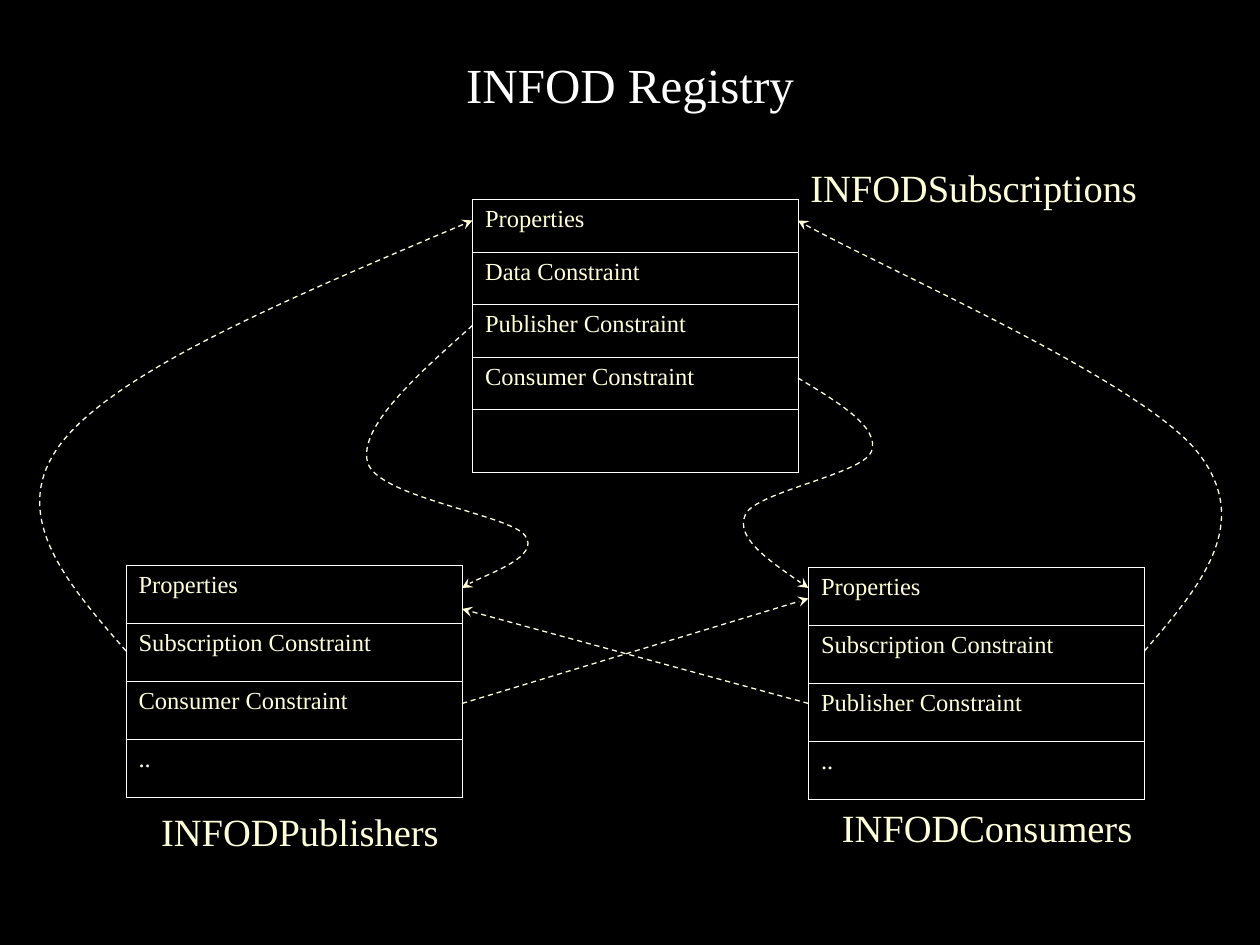
"""Build the registry slide with its three linked tables."""
from dataclasses import dataclass

from lxml import etree
from pptx import Presentation
from pptx import util as u
from pptx.dml.color import RGBColor
from pptx.enum import dml, shapes, text
from pptx.oxml import ns

INK = {"back": "000000", "title": "FFFFFF", "rule": "FFFFFF", "text": "FFFFD9"}
FACE = "Times New Roman"
Point = tuple[float, float]


@dataclass
class Grid:
    left: float
    top: float
    width: float
    heights: list[float]
    words: list[str]


@dataclass
class Label:
    left: float
    top: float
    width: float
    words: str


GRIDS = [
    Grid(72, 323, 192, [33.15] * 4,
         ["Properties", "Subscription Constraint", "Consumer Constraint", ".."]),
    Grid(462, 324, 192, [33.15] * 4,
         ["Properties", "Subscription Constraint", "Publisher Constraint", ".."]),
    Grid(270, 114, 186, [30] * 4 + [36],
         ["Properties", "Data Constraint", "Publisher Constraint",
          "Consumer Constraint", ""]),
]
LABELS = [
    Label(456, 90, 202, "INFODSubscriptions"),
    Label(474, 456, 182, "INFODConsumers"),
    Label(85, 458, 173, "INFODPublishers"),
]
CURVES: list[list[Point]] = [
    [(456, 216), (479.5, 230), (503, 244.5), (498, 258),
     (493, 271), (432, 281), (426, 294), (420, 307), (441, 321.5), (462, 336)],
    [(72, 372), (37.5, 332.5), (3, 293), (36, 252),
     (69, 211), (169.5, 168.5), (270, 126)],
    [(654, 372), (685.5, 335.5), (717, 299), (684, 258),
     (651, 217), (494, 148.5), (456, 126)],
    [(270, 186), (237.5, 215), (205, 244), (210, 264),
     (215, 284), (291, 294), (300, 306), (309, 318), (270, 331), (264, 336)],
]
LINES: list[tuple[Point, Point]] = [
    ((462, 402), (264, 348)),
    ((264, 402), (462, 342)),
]


def tint(name: str) -> RGBColor:
    """Look up a colour."""
    return RGBColor.from_string(INK[name])


def style(para, size: float, name: str) -> None:
    """Set the font of a paragraph."""
    para.font.name = FACE
    para.font.size = u.Pt(size)
    para.font.color.rgb = tint(name)


def frame(cell) -> None:
    """Rule all four sides of a cell."""
    props = cell._tc.get_or_add_tcPr()
    for spot, side in enumerate("LRTB"):
        edge = etree.Element(ns.qn(f"a:ln{side}"), w=str(u.Pt(0.45)))
        fill = etree.SubElement(edge, ns.qn("a:solidFill"))
        etree.SubElement(fill, ns.qn("a:srgbClr"), val=INK["rule"])
        props.insert(spot, edge)


def add_grid(slide, grid: Grid) -> None:
    """Draw a table of one column."""
    table = slide.shapes.add_table(
        len(grid.words), 1, u.Pt(grid.left), u.Pt(grid.top),
        u.Pt(grid.width), u.Pt(sum(grid.heights))).table
    table.first_row = table.horz_banding = False
    for row, height, words in zip(table.rows, grid.heights, grid.words):
        row.height = u.Pt(height)
        cell = row.cells[0]
        cell.fill.background()
        frame(cell)
        if words:
            cell.text = words
        style(cell.text_frame.paragraphs[0], 14, "text")


def add_label(slide, label: Label) -> None:
    """Draw the name of a table."""
    box = slide.shapes.add_textbox(
        u.Pt(label.left), u.Pt(label.top), u.Pt(label.width), u.Pt(34)).text_frame
    box.word_wrap = False
    box.auto_size = text.MSO_AUTO_SIZE.SHAPE_TO_FIT_TEXT
    box.text = label.words
    style(box.paragraphs[0], 22, "text")


def dash(shape) -> None:
    """Give a line its dashes and arrowhead."""
    shape.line.color.rgb = tint("text")
    shape.line.width = u.Pt(0.75)
    shape.line.dash_style = dml.MSO_LINE.DASH
    edge = shape.element.spPr.find(ns.qn("a:ln"))
    etree.SubElement(edge, ns.qn("a:tailEnd"), type="stealth")


def add_curve(slide, points: list[Point]) -> None:
    """Draw a chain of cubic curves from a start and triples of points."""
    start, *rest = [(u.Pt(x), u.Pt(y)) for x, y in points]
    form = slide.shapes.build_freeform(*start)
    form.add_line_segments(rest, close=False)
    shape = form.convert_to_shape()
    shape.shadow.inherit = False
    shape.fill.background()
    steps = list(shape.element.iter(ns.qn("a:lnTo")))
    for first in range(0, len(steps), 3):
        bend = etree.Element(ns.qn("a:cubicBezTo"))
        steps[first].addprevious(bend)
        for step in steps[first:first + 3]:
            bend.append(step[0])
            step.getparent().remove(step)
    dash(shape)


def add_line(slide, start: Point, end: Point) -> None:
    """Draw a straight arrow."""
    ends = [u.Pt(n) for n in (*start, *end)]
    link = slide.shapes.add_connector(shapes.MSO_CONNECTOR.STRAIGHT, *ends)
    dash(link)
    etree.SubElement(link.element.spPr, ns.qn("a:effectLst"))


def main() -> None:
    """Build and save the deck."""
    deck = Presentation()
    deck.slide_width, deck.slide_height = u.Pt(720), u.Pt(540)
    slide = deck.slides.add_slide(deck.slide_layouts[5])
    slide.background.fill.solid()
    slide.background.fill.fore_color.rgb = tint("back")
    title = slide.shapes.title
    title.left, title.top = u.Pt(54), u.Pt(18)
    title.width, title.height = u.Pt(612), u.Pt(60)
    title.text = "INFOD Registry"
    title.text_frame.vertical_anchor = text.MSO_ANCHOR.MIDDLE
    head = title.text_frame.paragraphs[0]
    head.alignment = text.PP_ALIGN.CENTER
    style(head, 28, "title")
    for label in LABELS:
        add_label(slide, label)
    for grid in GRIDS:
        add_grid(slide, grid)
    for points in CURVES:
        add_curve(slide, points)
    for start, end in LINES:
        add_line(slide, start, end)
    deck.save("out.pptx")


if __name__ == "__main__":
    main()
